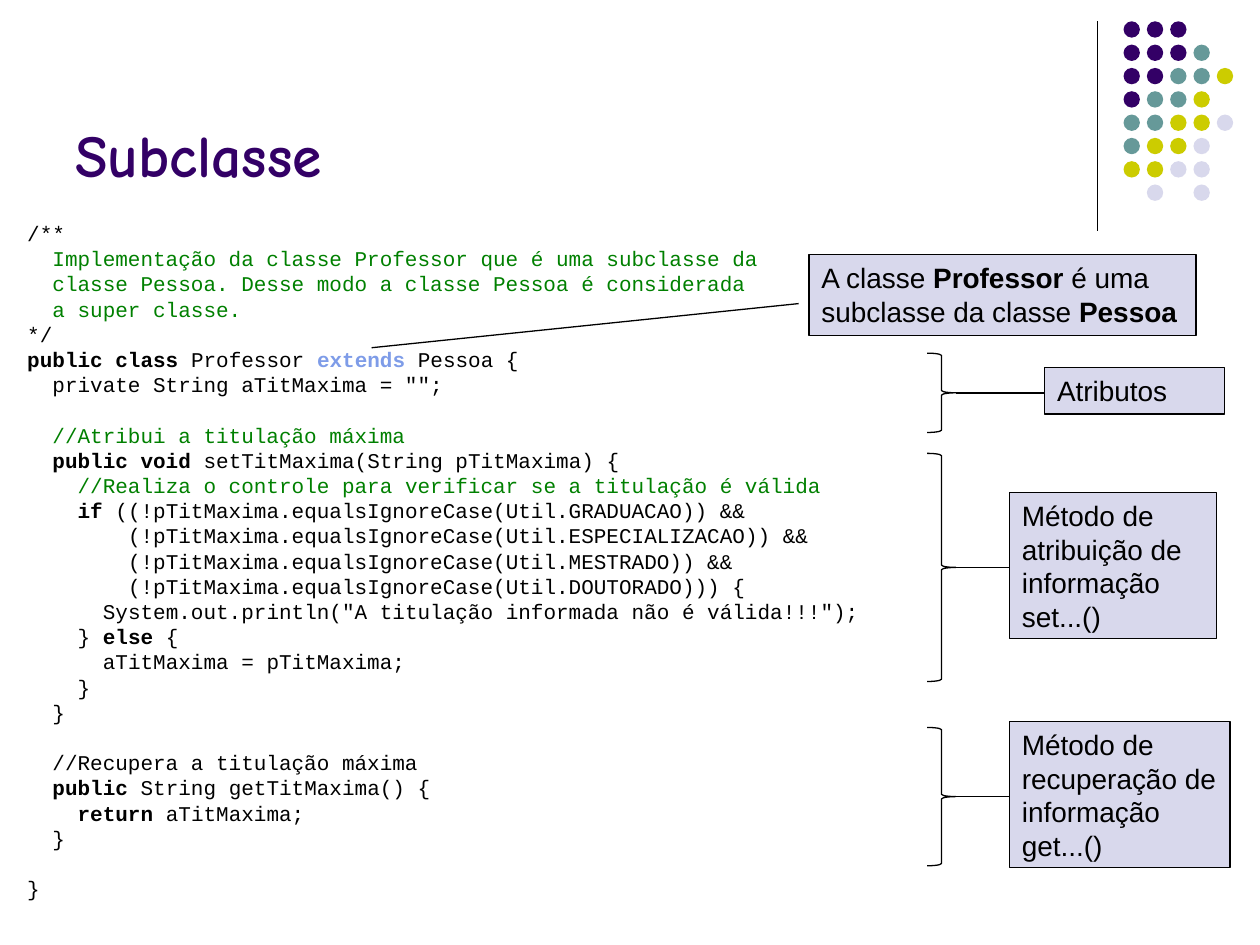
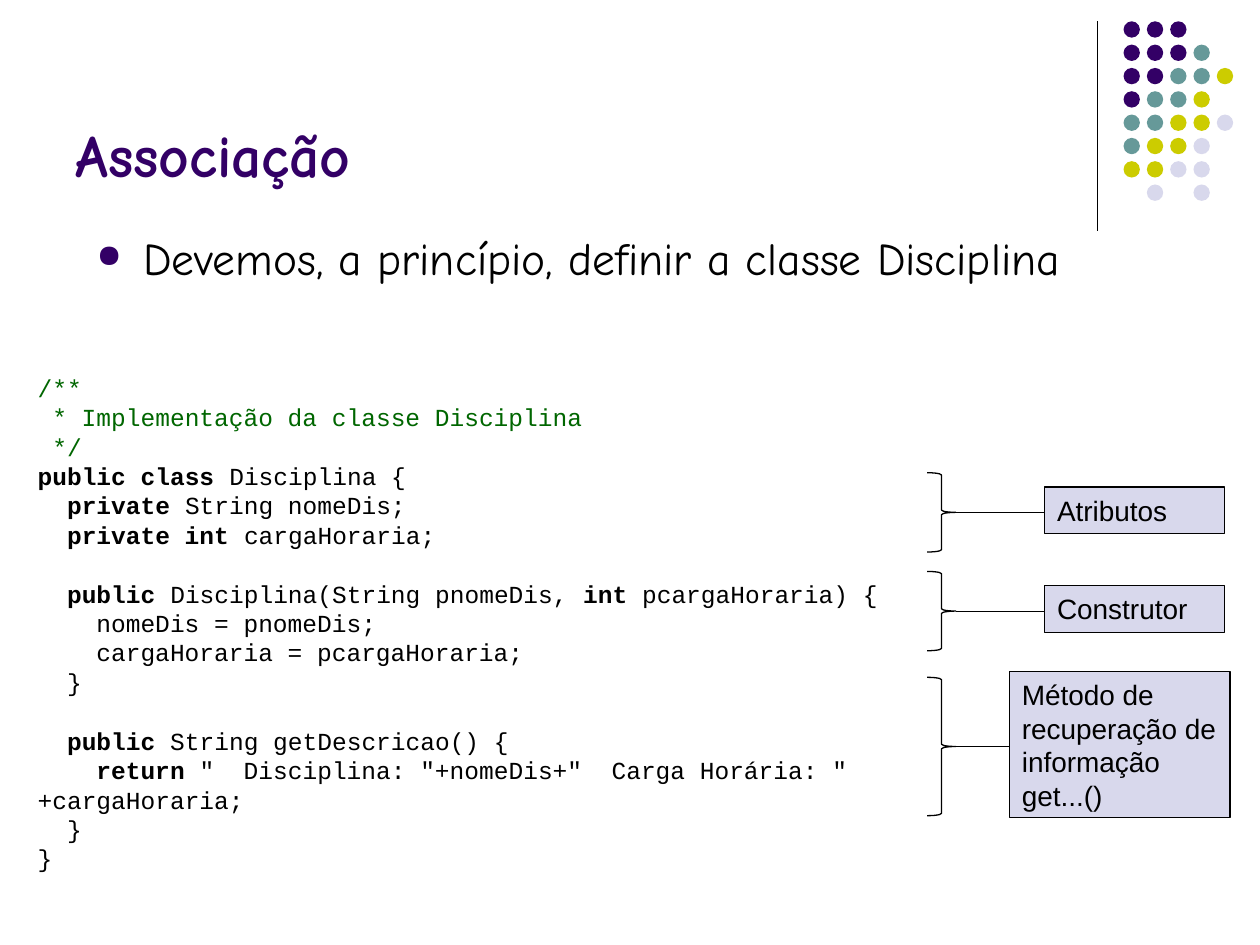
from lxml.etree import SubElement
from pptx import Presentation
from pptx.dml.color import RGBColor
from pptx.enum.shapes import MSO_CONNECTOR as Connector, MSO_SHAPE as Shape
from pptx.enum.text import MSO_ANCHOR as Anchor
from pptx.oxml.ns import qn
from pptx.util import Cm, Pt

COLORS = {
    "black": "000000",
    "purple": "330066",
    "teal": "669999",
    "lime": "CCCC00",
    "lilac": "D8D8EC",
    "green": "008000",
    "dark green": "006600",
    "blue": "7E9CE8",
}
TITLE_FONT, CODE_FONT, LABEL_FONT = "Comic Neue", "Courier New", "Arial"
LINE_FACTOR = 1.2
CHAR_FACTOR = 0.6

DOT_ROWS = ["PPP", "PPPT", "PPTTL", "PTTL", "TTLLI", "TLLI", "LLII", " I I"]
DOT_COLORS = {"P": "purple", "T": "teal", "L": "lime", "I": "lilac"}
DOT_LEFT, DOT_TOP, DOT_STEP, DOT_SIZE = 22.65, 0.43, 0.47, 0.33

STYLES = {
    "plain": ("black", False),
    "keyword": ("black", True),
    "extends": ("blue", True),
    "comment": ("green", False),
    "header": ("dark green", False),
}

SUBCLASS_CODE = [
    [
        (0, [("/**", "plain")]),
        (2, [("Implementação da classe Professor que é uma subclasse da", "comment")]),
        (2, [("classe Pessoa. Desse modo a classe Pessoa é considerada", "comment")]),
        (2, [("a super classe.", "comment")]),
        (0, [("*/", "plain")]),
        (0, [("public class", "keyword"), (" Professor ", "plain"),
             ("extends", "extends"), (" Pessoa {", "plain")]),
        (2, [('private String aTitMaxima = "";', "plain")]),
    ],
    [
        (2, [("//Atribui a titulação máxima", "comment")]),
        (2, [("public void ", "keyword"), ("setTitMaxima(String pTitMaxima) {", "plain")]),
        (4, [("//Realiza o controle para verificar se a titulação é válida", "comment")]),
        (4, [("if", "keyword"),
             (" ((!pTitMaxima.equalsIgnoreCase(Util.GRADUACAO)) &&", "plain")]),
        (8, [("(!pTitMaxima.equalsIgnoreCase(Util.ESPECIALIZACAO)) &&", "plain")]),
        (8, [("(!pTitMaxima.equalsIgnoreCase(Util.MESTRADO)) &&", "plain")]),
        (8, [("(!pTitMaxima.equalsIgnoreCase(Util.DOUTORADO))) {", "plain")]),
        (6, [('System.out.println("A titulação informada não é válida!!!");', "plain")]),
        (4, [("} ", "plain"), ("else", "keyword"), (" {", "plain")]),
        (6, [("aTitMaxima = pTitMaxima;", "plain")]),
        (4, [("}", "plain")]),
        (2, [("}", "plain")]),
    ],
    [
        (2, [("//Recupera a titulação máxima", "plain")]),
        (2, [("public", "keyword"), (" String getTitMaxima() {", "plain")]),
        (4, [("return ", "keyword"), ("aTitMaxima;", "plain")]),
        (2, [("}", "plain")]),
    ],
    [(0, [("}", "plain")])],
]

ASSOCIATION_CODE = [
    [
        (0, [("/**", "header")]),
        (1, [("* Implementação da classe Disciplina", "header")]),
        (1, [("*/", "header")]),
        (0, [("public class ", "keyword"), ("Disciplina {", "plain")]),
        (2, [("private", "keyword"), (" String nomeDis;", "plain")]),
        (2, [("private int ", "keyword"), ("cargaHoraria;", "plain")]),
    ],
    [
        (2, [("public ", "keyword"), ("Disciplina(String pnomeDis, ", "plain"),
             ("int ", "keyword"), ("pcargaHoraria) {", "plain")]),
        (4, [("nomeDis = pnomeDis;", "plain")]),
        (4, [("cargaHoraria = pcargaHoraria;", "plain")]),
        (2, [("}", "plain")]),
    ],
    [
        (2, [("public", "keyword"), (" String getDescricao() {", "plain")]),
        (4, [("return", "keyword"),
             (' "  Disciplina: "+nomeDis+"  Carga Horária: " +cargaHoraria;', "plain")]),
        (2, [("}", "plain")]),
        (0, [("}", "plain")]),
    ],
]

CALLOUT_KINDS = {
    "short": {"left": 21.06, "width": 3.63, "height": 0.94, "brace": 1.6},
    "setter": {"left": 20.35, "width": 4.17, "height": 2.95, "brace": 4.6},
    "getter": {"left": 20.35, "width": 4.45, "height": 2.95, "brace": 2.79},
}
BRACE_LEFT, BRACE_WIDTH = 18.69, 0.58
LABEL_LIFT = 0.04
GETTER_TEXT = "Método de recuperação de informação get...()"

SLIDES = [
    {
        "title": "Subclasse",
        "code": (SUBCLASS_CODE, 12, (0.3, 4.32, 24.31, 14.45)),
        "callouts": [
            ("short", "Atributos", 7.92),
            ("setter", "Método de atribuição de informação set...()", 11.44),
            ("getter", GETTER_TEXT, 16.06),
        ],
        "note": [("A classe ", "plain"), ("Professor", "keyword"),
                 (" é uma subclasse da classe ", "plain"), ("Pessoa", "keyword")],
    },
    {
        "title": "Associação",
        "bullet": "Devemos, a princípio, definir a classe Disciplina",
        "code": (ASSOCIATION_CODE, 14, (0.51, 7.39, 17.6, 10.31)),
        "callouts": [
            ("short", "Atributos", 10.33),
            ("short", "Construtor", 12.32),
            ("getter", GETTER_TEXT, 15.05),
        ],
    },
]


def color(name):
    return RGBColor.from_string(COLORS[name])


def place(area):
    return [Cm(length) for length in area]


def add_span(para, text, font, size, tint="black", bold=False):
    span = para.add_run()
    span.text = text
    span.font.name = font
    span.font.size = Pt(size)
    span.font.bold = bold
    span.font.color.rgb = color(tint)


def add_line(page, start, end):
    line = page.shapes.add_connector(Connector.STRAIGHT, *place(start + end))
    line.line.color.rgb = color("black")
    line.line.width = Pt(0.75)
    SubElement(line._element.spPr, qn("a:effectLst"))


def add_figure(page, kind, area, fill=None, outlined=True):
    figure = page.shapes.add_shape(kind, *place(area))
    figure.shadow.inherit = False
    if fill:
        figure.fill.solid()
        figure.fill.fore_color.rgb = color(fill)
    else:
        figure.fill.background()
    if outlined:
        figure.line.color.rgb = color("black")
        figure.line.width = Pt(0.75)
    else:
        figure.line.fill.background()
    return figure


def add_text_box(page, area, anchor=Anchor.TOP):
    box = page.shapes.add_textbox(*place(area))
    box.text_frame.word_wrap = True
    box.text_frame.vertical_anchor = anchor
    return box.text_frame


def add_label(page, area, spans):
    frame = add_figure(page, Shape.RECTANGLE, area, "lilac").text_frame
    frame.word_wrap = True
    frame.vertical_anchor = Anchor.TOP
    para = frame.paragraphs[0]
    para.alignment = 1
    for text, style in spans:
        add_span(para, text, LABEL_FONT, 16, *STYLES[style])


def add_decoration(page):
    add_line(page, (22.12, 0.43), (22.12, 4.65))
    for row, dots in enumerate(DOT_ROWS):
        for column, dot in enumerate(dots):
            if dot in DOT_COLORS:
                area = (DOT_LEFT + column * DOT_STEP, DOT_TOP + row * DOT_STEP,
                        DOT_SIZE, DOT_SIZE)
                add_figure(page, Shape.OVAL, area, DOT_COLORS[dot], outlined=False)


def add_title(page, title):
    frame = add_text_box(page, (1.27, 0.33, 20.96, 3.61), Anchor.BOTTOM)
    add_span(frame.paragraphs[0], title, TITLE_FONT, 34, "purple", True)


def add_bullet(page, text):
    para = add_text_box(page, (1.7, 4.52, 22.86, 2.0)).paragraphs[0]
    props = para._p.get_or_add_pPr()
    props.set("marL", str(Cm(0.94)))
    props.set("indent", str(Cm(-0.94)))
    tint = SubElement(props, qn("a:buClr"))
    SubElement(tint, qn("a:srgbClr"), val=COLORS["purple"])
    SubElement(props, qn("a:buSzPct"), val="70000")
    SubElement(props, qn("a:buChar"), char="●")
    add_span(para, text, TITLE_FONT, 26)


def add_code(page, blocks, size, area):
    frame = add_text_box(page, area)
    para = None
    for number, block in enumerate(blocks):
        for position, (indent, spans) in enumerate(block):
            para = frame.add_paragraph() if para else frame.paragraphs[0]
            if number and position == 0:
                para.space_before = Pt(size * LINE_FACTOR)
            first_line = Pt(indent * size * CHAR_FACTOR)
            para._p.get_or_add_pPr().set("indent", str(first_line))
            for text, style in spans:
                add_span(para, text, CODE_FONT, size, *STYLES[style])


def add_callout(page, kind, text, middle):
    label = CALLOUT_KINDS[kind]
    add_line(page, (BRACE_LEFT + BRACE_WIDTH, middle), (label["left"], middle))
    top = middle - label["height"] / 2 - LABEL_LIFT
    add_label(page, (label["left"], top, label["width"], label["height"]),
              [(text, "plain")])
    brace = add_figure(page, Shape.RIGHT_BRACE, (
        BRACE_LEFT, middle - label["brace"] / 2, BRACE_WIDTH, label["brace"]))
    brace.adjustments[0] = 0.08


def add_note(page, spans):
    add_line(page, (7.49, 7.01), (16.1, 6.12))
    add_label(page, (16.31, 5.13, 7.8, 1.63), spans)


def main():
    deck = Presentation()
    deck.slide_width, deck.slide_height = Cm(25.4), Cm(19.05)
    for content in SLIDES:
        page = deck.slides.add_slide(deck.slide_layouts[6])
        add_decoration(page)
        add_title(page, content["title"])
        if "bullet" in content:
            add_bullet(page, content["bullet"])
        add_code(page, *content["code"])
        for callout in content["callouts"]:
            add_callout(page, *callout)
        if "note" in content:
            add_note(page, content["note"])
    deck.save("out.pptx")


if __name__ == "__main__":
    main()
